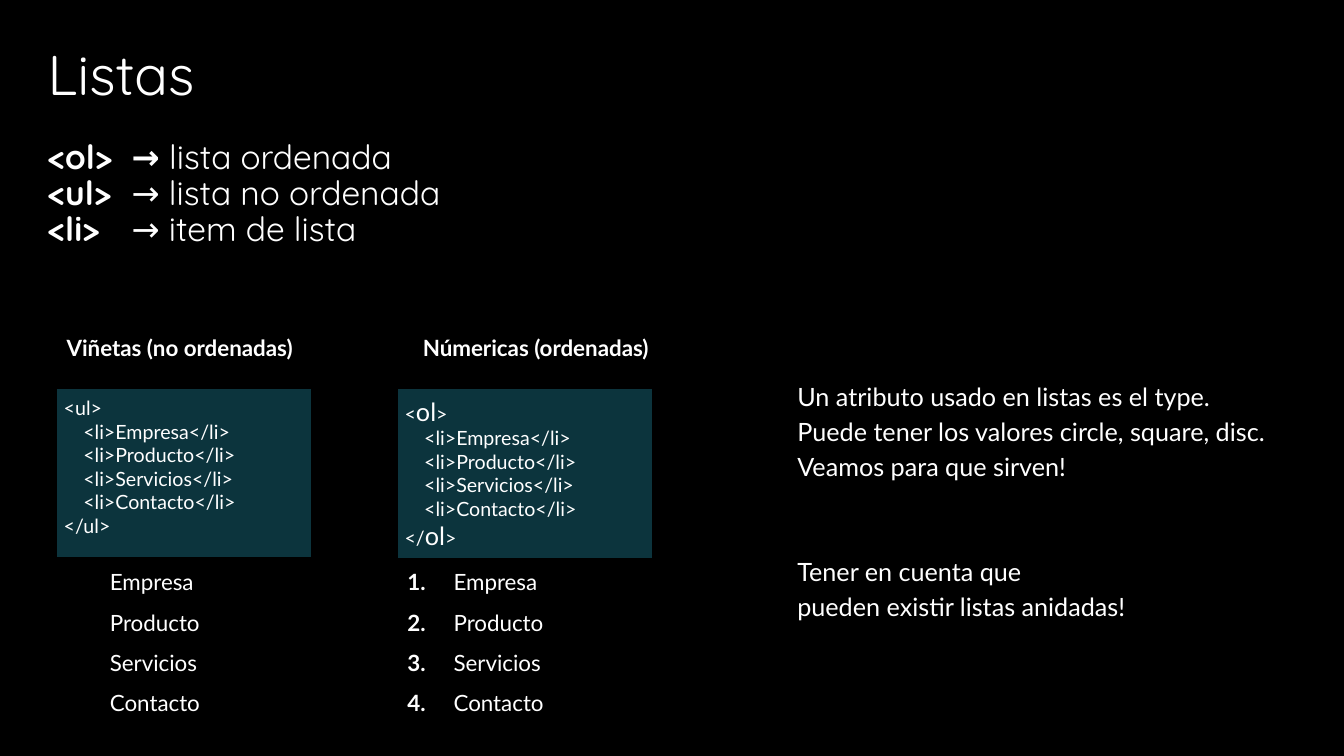
"""Build a slide that explains ordered and unordered HTML lists."""
from lxml.etree import SubElement
from pptx import Presentation
from pptx.dml.color import RGBColor
from pptx.enum.text import MSO_ANCHOR as Anchor, MSO_AUTO_SIZE as AutoSize, PP_ALIGN as Align
from pptx.oxml.ns import qn
from pptx.util import Pt

COLORS = {"background": "000000", "text": "FFFFFF", "code": "0C343D"}
NO_TABLE_STYLE = "{2D5ABB26-0587-4C30-8999-92F81FD0307C}"
ITEMS = ["Empresa", "Producto", "Servicios", "Contacto"]


def place(shape, left, top, width, height, anchor=Anchor.TOP):
    """Position a text shape and return its frame without insets."""
    shape.left, shape.top, shape.width, shape.height = Pt(left), Pt(top), Pt(width), Pt(height)
    frame = shape.text_frame
    frame.word_wrap = True
    frame.auto_size = AutoSize.NONE
    frame.vertical_anchor = anchor
    frame.margin_left = frame.margin_right = frame.margin_top = frame.margin_bottom = 0
    return frame


def write(frame, runs, font="Lato", spacing=1.0, before=0, margin=0, indent=0):
    """Add a paragraph of (text, size, bold) runs and return it."""
    first = frame.paragraphs[0]
    paragraph = frame.add_paragraph() if first.runs else first
    paragraph.alignment = Align.LEFT
    paragraph.line_spacing = spacing
    paragraph.space_before = Pt(before)
    properties = paragraph._p.get_or_add_pPr()
    properties.set("marL", str(Pt(margin)))
    properties.set("indent", str(Pt(indent)))
    for text, size, bold in runs:
        run = paragraph.add_run()
        run.text = text
        run.font.name = font
        run.font.size = Pt(size)
        run.font.bold = bold
        run.font.color.rgb = RGBColor.from_string(COLORS["text"])
    return paragraph


deck = Presentation()
deck.slide_width, deck.slide_height = Pt(960), Pt(540)
slide = deck.slides.add_slide(deck.slide_layouts[4])
slide.background.fill.solid()
slide.background.fill.fore_color.rgb = RGBColor.from_string(COLORS["background"])
holders = slide.placeholders

title = place(slide.shapes.title, 34, 28, 528, 50)
write(title, [("Listas", 40, False)], font="Quicksand")

tags = place(slide.shapes.add_textbox(0, 0, 0, 0), 34, 100, 528, 90)
for tag, arrow_bold, meaning in [
    ("<ol>", True, "lista ordenada"),
    ("<ul>", False, "lista no ordenada"),
    ("<li>", False, "item de lista"),
]:
    runs = [(tag + "\t", 24, True), ("→ ", 24, arrow_bold), (meaning, 24, False)]
    write(tags, runs, font="Quicksand", spacing=0.9, margin=60, indent=-60)

for heading, left, text in [
    (holders[1], 47.5, "Viñetas (no ordenadas)"),
    (holders[3], 302, "Númericas (ordenadas)"),
]:
    write(place(heading, left, 236, 180, 24, Anchor.MIDDLE), [(text, 16, True)])

for left, tag, tag_size in [(40.5, "ul", 14), (284, "ol", 18)]:
    code = slide.shapes.add_table(1, 1, Pt(left), Pt(278), Pt(182), Pt(120)).table
    code.first_row = code.horz_banding = False
    code._tbl.tblPr.find(qn("a:tableStyleId")).text = NO_TABLE_STYLE
    cell = code.cell(0, 0)
    cell.fill.solid()
    cell.fill.fore_color.rgb = RGBColor.from_string(COLORS["code"])
    cell.margin_left = cell.margin_right = cell.margin_top = cell.margin_bottom = Pt(5)
    write(cell.text_frame, [("<", 14, False), (tag, tag_size, False), (">", 14, False)])
    for item in ITEMS:
        write(cell.text_frame, [(f"<li>{item}</li>", 14, False)], margin=14)
    write(cell.text_frame, [("</", 14, False), (tag, tag_size, False), (">", 14, False)])

bulleted = place(holders[2], 42.5, 396.5, 168, 116)
numbered = place(holders[4], 291, 396.5, 168, 116)
for number, item in enumerate(ITEMS, start=1):
    entry = write(bulleted, [(item, 16, False)], spacing=1.5, margin=36, indent=-26)
    properties = entry._p.get_or_add_pPr()
    bullet_color = SubElement(properties, qn("a:buClr"))
    SubElement(bullet_color, qn("a:srgbClr"), val=COLORS["background"])
    SubElement(properties, qn("a:buChar"), char="●")

    runs = [(f"{number}.\t", 16, True), (item, 16, False)]
    entry = write(numbered, runs, spacing=1.5, margin=33, indent=-33)
    SubElement(entry._p.get_or_add_pPr(), qn("a:buNone"))

notes = place(slide.shapes.add_textbox(0, 0, 0, 0), 569.5, 269.5, 375, 230)
for sentences, before in [
    ("Un atributo usado en listas es el type.", 0),
    ("Puede tener los valores circle, square, disc. Veamos para que sirven!", 0),
    ("Tener en cuenta que", 50),
]:
    closing = write(notes, [(sentences, 18, False)], spacing=1.15, before=before)
closing.add_line_break()
ending = closing.add_run()
ending.text = "pueden existir listas anidadas!"
ending.font.name = "Lato"
ending.font.size = Pt(18)
ending.font.color.rgb = RGBColor.from_string(COLORS["text"])

deck.save("out.pptx")
